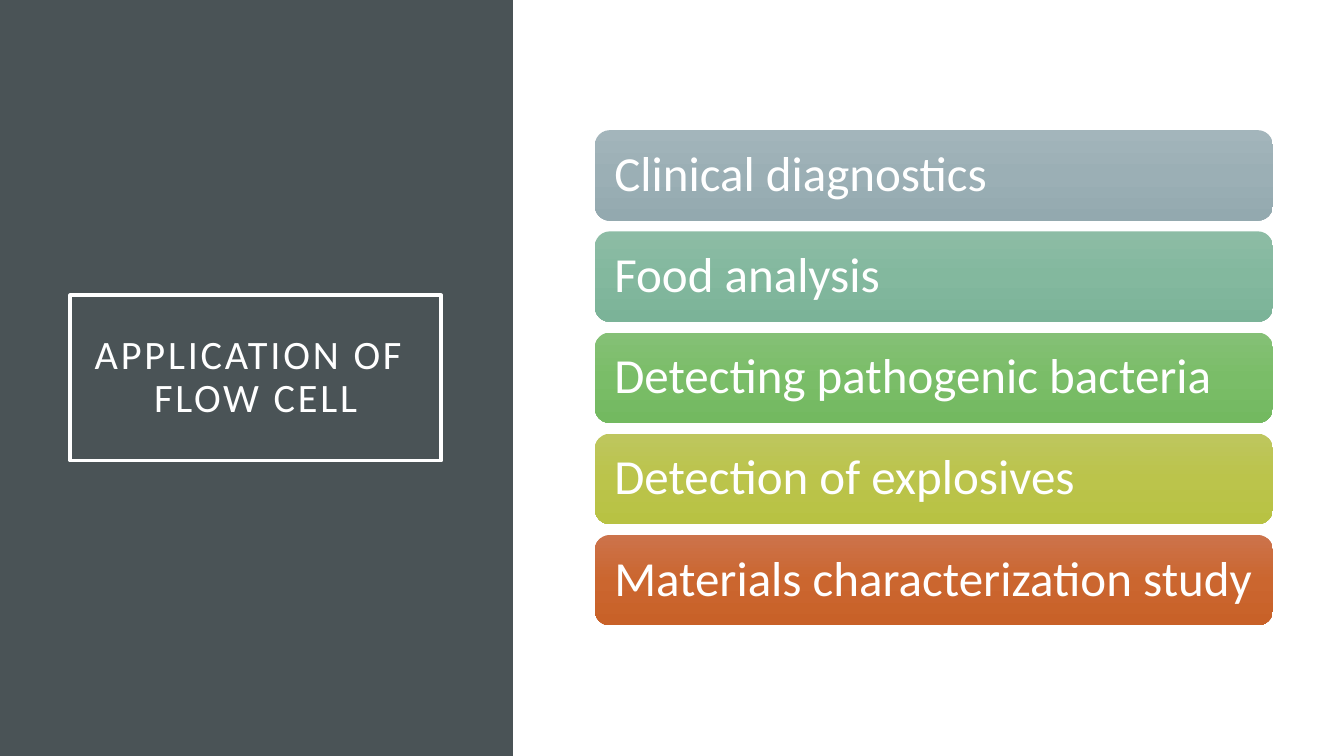
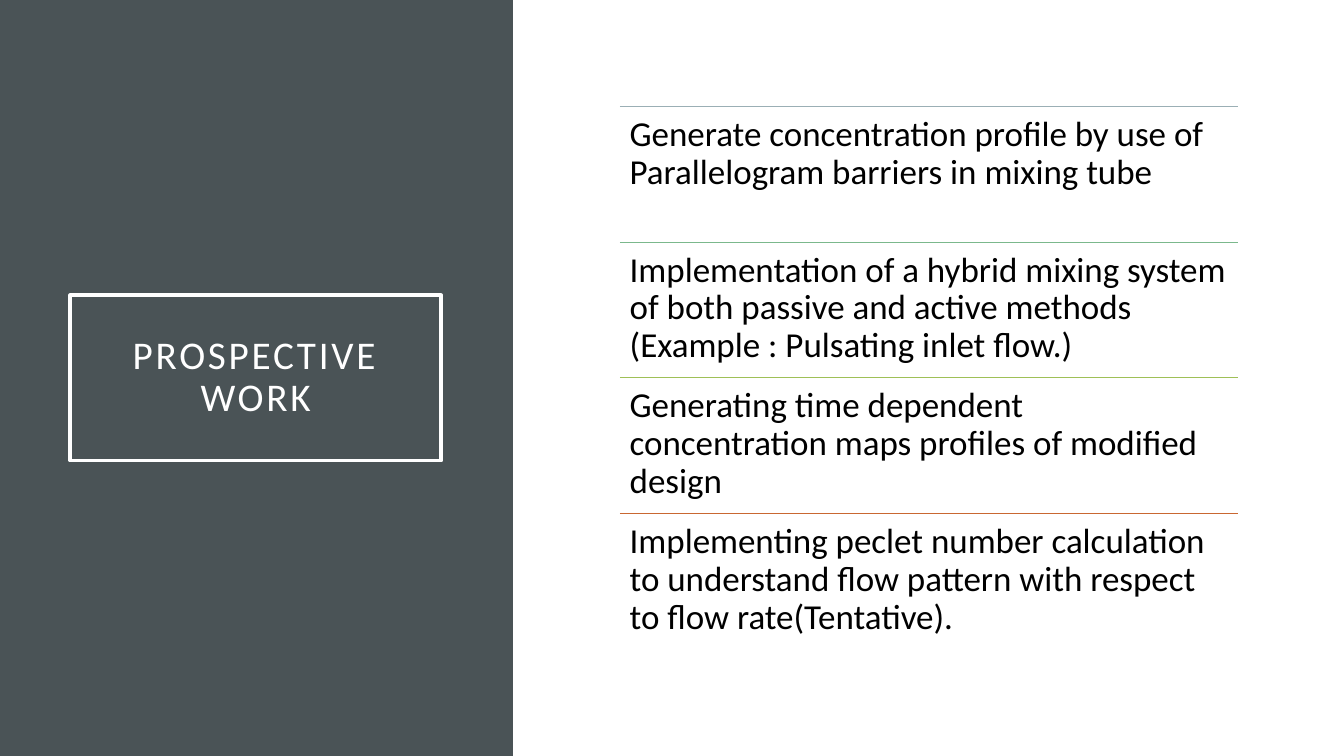
"""Builds two slides on flow cells: their applications and the prospective work."""
from copy import deepcopy

from lxml import etree
from pptx import Presentation
from pptx.dml.color import RGBColor
from pptx.enum.shapes import MSO_CONNECTOR, MSO_SHAPE
from pptx.enum.text import MSO_ANCHOR, PP_ALIGN
from pptx.oxml.ns import qn
from pptx.util import Cm, Pt

APPLICATION_TITLE = "APPLICATION OF \vFLOW CELL"
APPLICATIONS = [
    ("Clinical diagnostics", ("A3B5BB", "9BAFB5", "93A9AF")),
    ("Food analysis", ("8DBCA5", "83B89E", "7BB398")),
    ("Detecting pathogenic bacteria", ("85C076", "7ABD68", "73B960")),
    ("Detection of explosives", ("BEC65E", "BBC44B", "B8C243")),
    ("Materials characterization study", ("CC734B", "CB662F", "C86128")),
]
PROSPECTIVE_TITLE = "PROSPECTIVE WORK"
PROSPECTIVE_TASKS = [
    ("Generate concentration profile by use of Parallelogram barriers in mixing tube", "9BAFB5"),
    ("Implementation of a hybrid mixing system of both passive and active methods "
     "(Example : Pulsating inlet flow.)", "7BB88C"),
    ("Generating time dependent concentration maps profiles of modified design", "9FC057"),
    ("Implementing peclet number calculation to understand flow pattern with respect "
     "to flow rate(Tentative).", "C96731"),
]

FONT = "Calibri"
WHITE, BLACK, SLATE = "FFFFFF", "000000", "4A5356"
RECTANGLE, ROUNDED = MSO_SHAPE.RECTANGLE, MSO_SHAPE.ROUNDED_RECTANGLE
STRAIGHT = MSO_CONNECTOR.STRAIGHT
TOP, MIDDLE = MSO_ANCHOR.TOP, MSO_ANCHOR.MIDDLE
LEFT, CENTER = PP_ALIGN.LEFT, PP_ALIGN.CENTER

SLIDE_WIDTH, SLIDE_HEIGHT = 33.87, 19.05
PANEL_WIDTH = 12.93
TITLE_BOX = (1.77, 7.44, 9.35, 4.17)
BAR_LEFT, BAR_TOP, BAR_WIDTH, BAR_HEIGHT, BAR_GAP = 14.99, 3.28, 17.09, 2.28, 0.27
TASK_LEFT, TASK_TOP, TASK_WIDTH, TASK_HEIGHT = 15.62, 2.68, 15.57, 3.42


def color(value):
    return RGBColor.from_string(value)


def write(shape, text, size, ink=WHITE, align=LEFT, anchor=MIDDLE, inset=0.25, spacing=0):
    frame = shape.text_frame
    frame.word_wrap = True
    frame.vertical_anchor = anchor
    frame.margin_left = frame.margin_right = Cm(inset)
    frame.margin_top = frame.margin_bottom = Cm(inset)
    paragraph = frame.paragraphs[0]
    paragraph.text = text
    paragraph.alignment = align
    paragraph.line_spacing = 0.9
    for run in paragraph.runs:
        run.font.name = FONT
        run.font.size = Pt(size)
        run.font.color.rgb = color(ink)
        if spacing:
            run.font._element.set("spc", str(spacing * 100))


def add_box(slide, kind, left, top, width, height):
    shape = slide.shapes.add_shape(kind, Cm(left), Cm(top), Cm(width), Cm(height))
    shape.shadow.inherit = False
    shape.line.fill.background()
    return shape


def fill_gradient(shape, colors):
    shape.fill.gradient()
    shape.fill.gradient_angle = 270
    stop_list = shape._element.spPr.find(qn("a:gradFill")).find(qn("a:gsLst"))
    stop_list.insert(1, deepcopy(stop_list[0]))
    for index, (stop, value) in enumerate(zip(shape.fill.gradient_stops, colors)):
        stop.position = index / (len(colors) - 1)
        stop.color.rgb = color(value)


def add_rule(slide, left, top, width, value):
    rule = slide.shapes.add_connector(STRAIGHT, Cm(left), Cm(top), Cm(left + width), Cm(top))
    rule.line.color.rgb = color(value)
    rule.line.width = Pt(0.5)
    etree.SubElement(rule._element.spPr, qn("a:effectLst"))


def add_titled_slide(presentation, title, size):
    slide = presentation.slides.add_slide(presentation.slide_layouts[6])
    panel = add_box(slide, RECTANGLE, 0, 0, PANEL_WIDTH, SLIDE_HEIGHT)
    panel.fill.solid()
    panel.fill.fore_color.rgb = color(SLATE)
    title_box = add_box(slide, RECTANGLE, *TITLE_BOX)
    title_box.fill.background()
    title_box.line.color.rgb = color(WHITE)
    title_box.line.width = Pt(2.5)
    write(title_box, title, size, align=CENTER, inset=0.51, spacing=2)
    return slide


def add_applications(presentation):
    slide = add_titled_slide(presentation, APPLICATION_TITLE, 28.8)
    for index, (text, colors) in enumerate(APPLICATIONS):
        top = BAR_TOP + index * (BAR_HEIGHT + BAR_GAP)
        bar = add_box(slide, ROUNDED, BAR_LEFT, top, BAR_WIDTH, BAR_HEIGHT)
        fill_gradient(bar, colors)
        write(bar, text, 35, inset=0.38)


def add_prospective_work(presentation):
    slide = add_titled_slide(presentation, PROSPECTIVE_TITLE, 28)
    for index, (text, value) in enumerate(PROSPECTIVE_TASKS):
        top = TASK_TOP + index * TASK_HEIGHT
        add_rule(slide, TASK_LEFT, top, TASK_WIDTH, value)
        task = slide.shapes.add_textbox(Cm(TASK_LEFT), Cm(top), Cm(TASK_WIDTH), Cm(TASK_HEIGHT))
        write(task, text, 25, ink=BLACK, anchor=TOP)


def main():
    presentation = Presentation()
    presentation.slide_width = Cm(SLIDE_WIDTH)
    presentation.slide_height = Cm(SLIDE_HEIGHT)
    add_applications(presentation)
    add_prospective_work(presentation)
    presentation.save("out.pptx")


if __name__ == "__main__":
    main()
